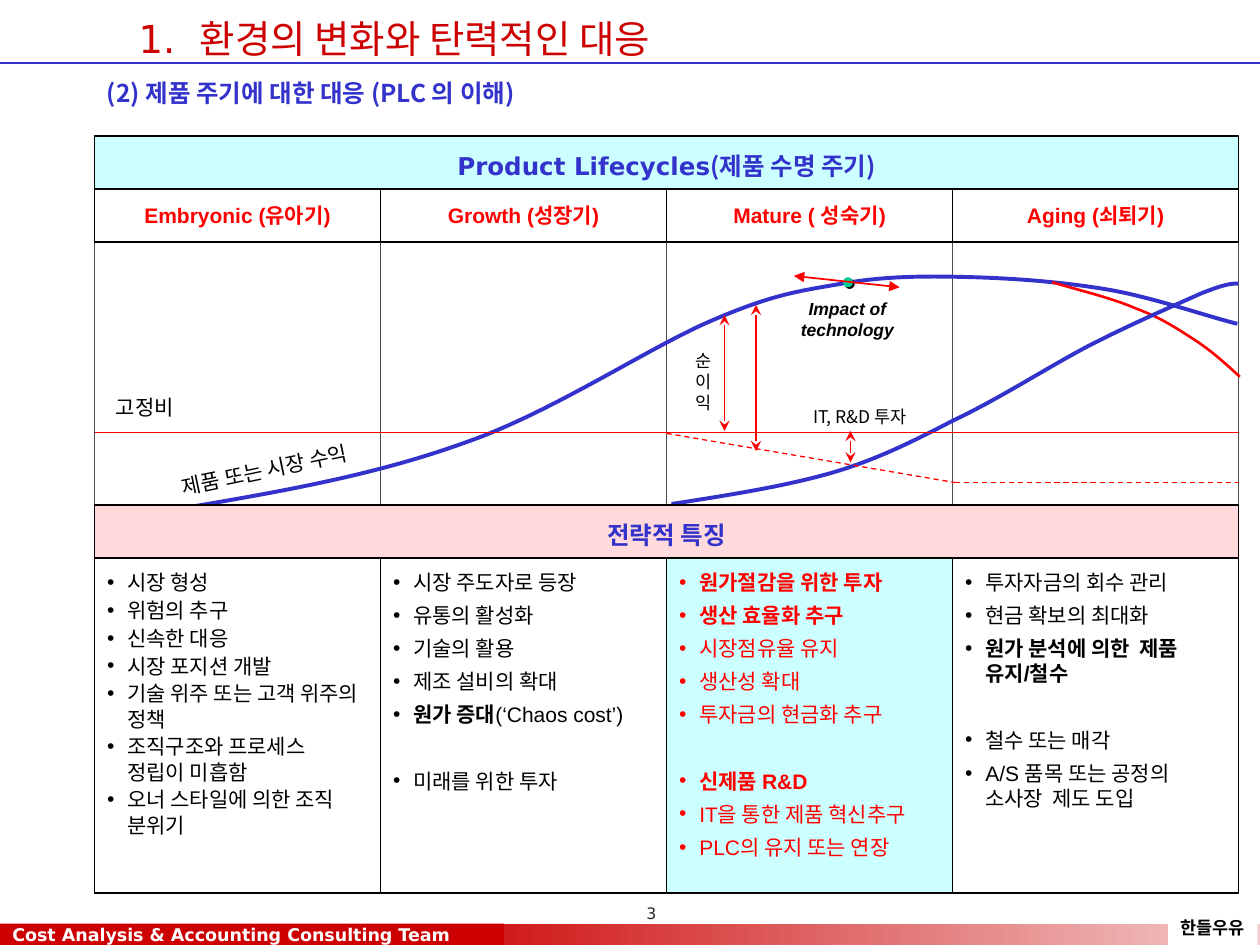
from dataclasses import dataclass

from lxml.etree import SubElement
from pptx import Presentation
from pptx.dml.color import RGBColor
from pptx.enum.dml import MSO_LINE
from pptx.enum.shapes import MSO_CONNECTOR, MSO_SHAPE
from pptx.enum.text import MSO_ANCHOR, MSO_AUTO_SIZE, PP_ALIGN
from pptx.oxml.ns import qn
from pptx.util import Inches, Pt

COLORS = {
    "white": "FFFFFF", "black": "000000", "gray": "4D4D4D", "ink": "292929",
    "crimson": "CC0000", "blush": "F3CBCB", "blue": "3333CC", "red": "FF0000",
    "cyan": "CCFFFF", "pink": "FFD9DB", "green": "00CC99",
}
ARIAL, DEJAVU, NOTO = "Arial", "DejaVu Sans", "Noto Sans CJK KR"
LEFT, COL_W, BAND_H = 0.75, 2.27, 0.42
FULL_W, RIGHT = 4 * COL_W, LEFT + 4 * COL_W
LINE_PITCH = 18.9  # points from one single-line bullet to the next


@dataclass
class Bullet:
    text: str
    bold: bool = False
    tail: str = ""
    gap: bool = False  # leaves one line free above


@dataclass
class Stage:
    name: str
    bullets: list[Bullet]
    space: float = 4.5
    color: str = "black"
    fill: str = "white"


@dataclass
class Line:
    start: tuple[float, float]
    end: tuple[float, float]
    color: str = "red"
    width: float = 0.75
    head: str = ""
    dashed: bool = False


@dataclass
class Curve:
    """A start point and the points of cubic segments, three to a segment."""
    points: list[tuple[float, float]]
    color: str
    width: float


@dataclass
class Label:
    text: str
    box: tuple[float, float, float, float]
    size: float = 12
    rotation: float = 0


STAGES = [
    Stage("Embryonic (유아기)", [
        Bullet("시장 형성"), Bullet("위험의 추구"), Bullet("신속한 대응"),
        Bullet("시장 포지션 개발"), Bullet("기술 위주 또는 고객 위주의 정책"),
        Bullet("조직구조와 프로세스 정립이 미흡함"),
        Bullet("오너 스타일에 의한 조직 분위기")], space=1.5),
    Stage("Growth (성장기)", [
        Bullet("시장 주도자로 등장"), Bullet("유통의 활성화"), Bullet("기술의 활용"),
        Bullet("제조 설비의 확대"), Bullet("원가 증대", True, "(‘Chaos cost’)"),
        Bullet("미래를 위한 투자", gap=True)]),
    Stage("Mature ( 성숙기)", [
        Bullet("원가절감을 위한 투자", True), Bullet("생산 효율화 추구", True),
        Bullet("시장점유율 유지"), Bullet("생산성 확대"), Bullet("투자금의 현금화 추구"),
        Bullet("신제품 R&D", True, gap=True), Bullet("IT을 통한 제품 혁신추구"),
        Bullet("PLC의 유지 또는 연장")], color="red", fill="cyan"),
    Stage("Aging (쇠퇴기)", [
        Bullet("투자자금의 회수 관리"), Bullet("현금 확보의 최대화"),
        Bullet("원가 분석에 의한  제품 유지/철수", True),
        Bullet("철수 또는 매각", gap=True),
        Bullet("A/S 품목 또는 공정의 소사장  제도 도입")]),
]
CURVES = [
    Curve([(1.53, 4.02), (2.3, 3.89), (3.01, 3.76), (3.7, 3.51), (4.39, 3.27),
           (5.16, 2.75), (5.66, 2.54), (6.15, 2.33), (6.35, 2.31), (6.69, 2.25),
           (7.03, 2.19), (7.36, 2.19), (7.71, 2.2), (8.06, 2.21), (8.45, 2.24),
           (8.8, 2.3), (9.15, 2.36), (9.61, 2.52), (9.82, 2.57)], "blue", 2.25),
    Curve([(8.35, 2.24), (8.59, 2.31), (8.84, 2.37), (9.02, 2.45), (9.21, 2.52),
           (9.33, 2.6), (9.47, 2.69), (9.61, 2.78), (9.72, 2.88), (9.84, 2.99)], "red", 1.5),
    Curve([(5.33, 4), (5.78, 3.93), (6.23, 3.86), (6.61, 3.75), (6.98, 3.64),
           (7.25, 3.5), (7.58, 3.33), (7.92, 3.17), (8.31, 2.92), (8.63, 2.75),
           (8.96, 2.58), (9.33, 2.42), (9.53, 2.33), (9.73, 2.25), (9.78, 2.25),
           (9.83, 2.25)], "blue", 2.25),
]
LINES = [
    Line((6.3, 2.19), (7.14, 2.28), width=1, head="triangle"),
    Line((LEFT, 3.43), (RIGHT, 3.43)),
    Line((5.29, 3.44), (7.58, 3.83), dashed=True),
    Line((7.58, 3.83), (RIGHT, 3.83), dashed=True),
    Line((5.75, 2.5), (5.75, 3.42), head="stealth"),
    Line((6, 2.42), (6, 3.58), head="stealth"),
    Line((6.75, 3.67), (6.75, 3.42), head="stealth"),
]
LABELS = [
    Label("고정비", (0.82, 3.08, 0.66, 0.3)),
    Label("제품 또는 시장 수익", (1.33, 3.58, 1.54, 0.3), rotation=-11.9),
    Label("순\n이\n익", (5.42, 2.73, 0.32, 0.6), 10),
    Label("IT, R&D 투자", (6.32, 3.17, 1.01, 0.27), 10),
]


def rgb(name: str) -> RGBColor:
    return RGBColor.from_string(COLORS[name])


def add_run(p, text: str, *, size=12, font=ARIAL, color="black", bold=False, italic=False):
    r = p.add_run()
    r.text = text
    f = r.font
    f.size, f.name, f.bold, f.italic = Pt(size), font, bold, italic
    f.color.rgb = rgb(color)
    SubElement(f._element, qn("a:ea"), typeface=NOTO)


def write(sp, text: str, *, align=PP_ALIGN.CENTER, anchor=MSO_ANCHOR.MIDDLE,
          wrap=True, spacing=None, **fmt):
    tf = sp.text_frame
    tf.word_wrap, tf.vertical_anchor, tf.auto_size = wrap, anchor, MSO_AUTO_SIZE.NONE
    for i, line in enumerate(text.split("\n")):
        p = tf.add_paragraph() if i else tf.paragraphs[0]
        p.alignment, p.line_spacing = align, spacing
        add_run(p, line, **fmt)


def place(sp, *box: float):
    sp.left, sp.top, sp.width, sp.height = map(Inches, box)


def add_box(s, *box: float, fill="white", line="", shape=MSO_SHAPE.RECTANGLE):
    sp = s.shapes.add_shape(shape, *map(Inches, box))
    sp.shadow.inherit = False
    paint(sp, fill, line)
    return sp


def paint(sp, fill: str, line: str):
    sp.fill.solid()
    sp.fill.fore_color.rgb = rgb(fill)
    if line:
        sp.line.color.rgb, sp.line.width = rgb(line), Pt(1)
    else:
        sp.line.fill.background()


def add_text(s, text: str, box: tuple, **fmt):
    sp = s.shapes.add_textbox(*map(Inches, box))
    write(sp, text, **fmt)
    return sp


def add_line(s, line: Line):
    c = s.shapes.add_connector(MSO_CONNECTOR.STRAIGHT, *map(Inches, line.start + line.end))
    c.line.color.rgb, c.line.width = rgb(line.color), Pt(line.width)
    if line.dashed:
        c.line.dash_style = MSO_LINE.DASH
    spPr = c.element.spPr
    if line.head:
        for end in ("a:headEnd", "a:tailEnd"):
            SubElement(spPr.find(qn("a:ln")), qn(end), type=line.head)
    SubElement(spPr, qn("a:effectLst"))


def add_curve(s, curve: Curve):
    pts = [(Inches(x), Inches(y)) for x, y in curve.points]
    fb = s.shapes.build_freeform(*pts[0])
    fb.add_line_segments(pts[1:], close=False)
    sp = fb.convert_to_shape()
    sp.shadow.inherit = False
    sp.fill.background()
    sp.line.color.rgb, sp.line.width = rgb(curve.color), Pt(curve.width)
    segments = list(sp.element.iter(qn("a:lnTo")))
    for i, segment in enumerate(segments):
        if i % 3 == 0:
            bezier = SubElement(segment.getparent(), qn("a:cubicBezTo"))
        bezier.append(segment[0])
        segment.getparent().remove(segment)


def add_bullets(sp, stage: Stage):
    tf = sp.text_frame
    tf.word_wrap, tf.vertical_anchor, tf.auto_size = True, MSO_ANCHOR.TOP, MSO_AUTO_SIZE.NONE
    tf.margin_top = Inches(0.09)
    for i, b in enumerate(stage.bullets):
        p = tf.add_paragraph() if i else tf.paragraphs[0]
        p.alignment = PP_ALIGN.LEFT
        p.space_before = Pt(stage.space + LINE_PITCH * b.gap if i else 0)
        pPr = p._p.get_or_add_pPr()
        pPr.set("marL", str(Inches(0.16)))
        pPr.set("indent", str(-Inches(0.16)))
        SubElement(SubElement(pPr, qn("a:buClr")), qn("a:srgbClr"), val=COLORS[stage.color])
        SubElement(pPr, qn("a:buFont"), typeface=ARIAL)
        SubElement(pPr, qn("a:buChar"), char="•")
        add_run(p, b.text, color=stage.color, bold=b.bold)
        if b.tail:
            add_run(p, b.tail, color=stage.color)


def add_footer(s):
    bar = add_box(s, 3.08, 7.33, 6.92, 0.17)
    bar.fill.gradient()
    bar.fill.gradient_angle = 180
    for stop, color in zip(bar.fill.gradient_stops, ("blush", "crimson")):
        stop.color.rgb = rgb(color)
    write(add_box(s, 0, 7.33, 4, 0.17, fill="crimson"),
          "Cost Analysis & Accounting Consulting Team", align=PP_ALIGN.LEFT,
          size=10, font=DEJAVU, color="white", bold=True)
    write(add_box(s, 9.27, 7.23, 0.71, 0.27), "한들우유", anchor=MSO_ANCHOR.TOP,
          wrap=False, size=10, font=NOTO, bold=True)
    add_text(s, "3", (4.42, 7.12, 1.5, 0.25), anchor=MSO_ANCHOR.TOP,
             size=9, font=DEJAVU, color="ink")


def add_dot(s):
    dot = add_box(s, 6.69, 2.2, 0.08, 0.08, fill="green", shape=MSO_SHAPE.OVAL)
    shadow = SubElement(dot.element.spPr.find(qn("a:effectLst")), qn("a:outerShdw"),
                        dist=str(Pt(1.4)), dir="2700000", algn="ctr")
    SubElement(shadow, qn("a:srgbClr"), val=COLORS["black"])


def main():
    prs = Presentation()
    prs.slide_width, prs.slide_height = Inches(10), Inches(7.5)
    s = prs.slides.add_slide(prs.slide_layouts[4])  # a title and four bodies
    title, *bodies = s.placeholders

    add_footer(s)
    add_line(s, Line((0, 0.5), (10, 0.5), "blue"))
    place(title, 1, 0, 7.75, 0.5)
    write(title, "1.  환경의 변화와 탄력적인 대응", align=PP_ALIGN.LEFT, spacing=1.3,
          size=22, font=DEJAVU, color="crimson")
    add_text(s, "(2) 제품 주기에 대한 대응 (PLC 의 이해)", (0.75, 0.5, 8.25, 0.33),
             align=PP_ALIGN.LEFT, anchor=MSO_ANCHOR.TOP, spacing=1.3,
             size=14, font=NOTO, color="blue", bold=True)

    heading = dict(size=14, color="blue", bold=True)
    band = add_box(s, LEFT, 1.08, FULL_W, BAND_H, fill="cyan", line="black")
    write(band, "Product Lifecycles", spacing=1.2, font=DEJAVU, **heading)
    add_run(band.text_frame.paragraphs[0], "(제품 수명 주기)", font=NOTO, **heading)
    for i, (stage, body) in enumerate(zip(STAGES, bodies)):
        x = LEFT + i * COL_W
        add_box(s, x, 1.92, COL_W, 2.09, line="gray")
        write(add_box(s, x, 1.5, COL_W, BAND_H, line="black"), stage.name,
              color="red", bold=True)
        place(body, x, 4.43, COL_W, 2.66)
        paint(body, stage.fill, "black")
        add_bullets(body, stage)

    for curve in CURVES:
        add_curve(s, curve)
    write(add_box(s, LEFT, 4.01, FULL_W, BAND_H, fill="pink", line="black"),
          "전략적 특징", spacing=1.2, **heading)
    add_dot(s)
    for line in LINES:
        add_line(s, line)
    add_text(s, "Impact of technology", (6.14, 2.31, 1.17, 0.44),
             size=10, bold=True, italic=True)
    for label in LABELS:
        sp = add_text(s, label.text, label.box, anchor=MSO_ANCHOR.TOP, wrap=False,
                      size=label.size, font=NOTO)
        sp.rotation = label.rotation
    prs.save("out.pptx")


if __name__ == "__main__":
    main()
